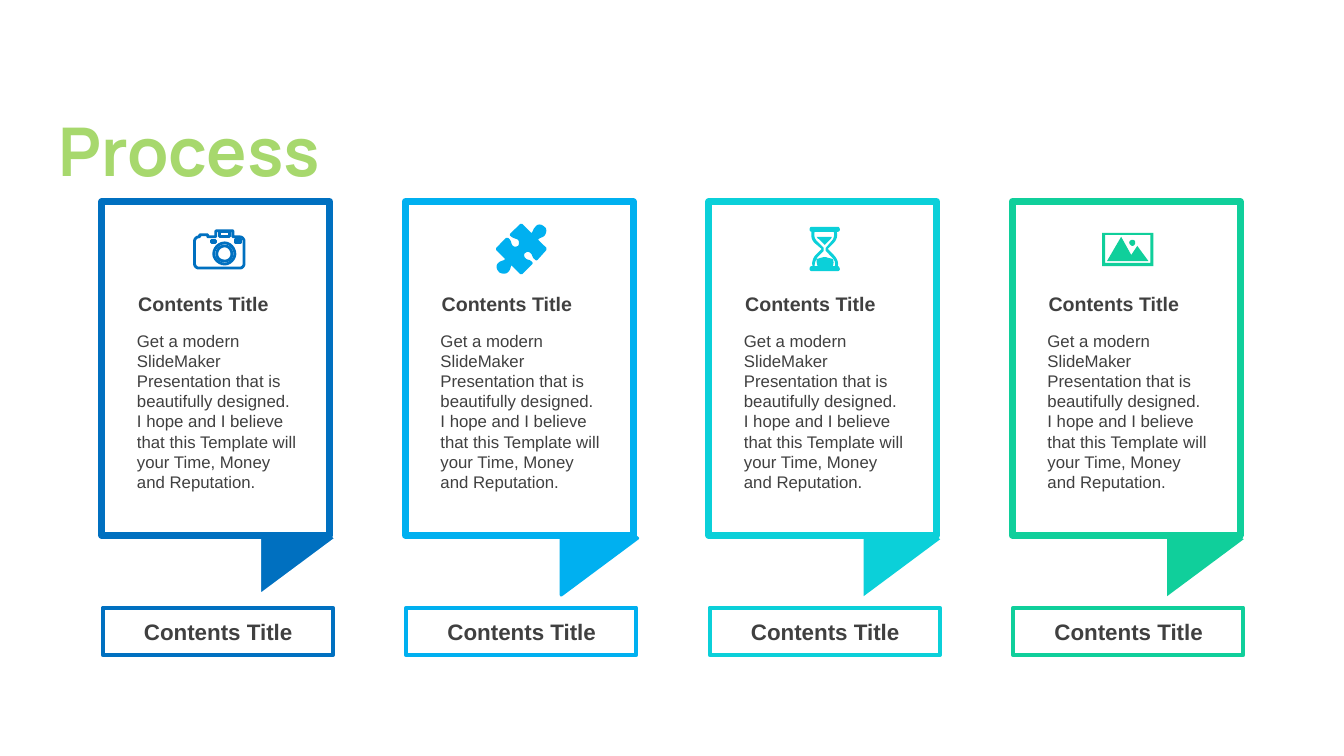
from pptx import Presentation, util as u
from pptx.dml.color import RGBColor
from pptx.enum import shapes, text

PX = 9144  # EMU per px, 100 px to the inch
STEPS = 6  # straight pieces per curve
PITCH = 301
TITLE = "Contents Title"
BODY = ("Get a modern SlideMaker Presentation that is beautifully designed. "
        "I hope and I believe that this Template will your Time, Money and Reputation.")

# Icon outlines, one string per contour: L is a line, C a cubic curve
CAMERA = [
    """L 223 244 C 227 244 230 248 230 252 C 230 256 227 259 223 259
    C 218 259 215 256 215 252 C 215 248 218 244 223 244""",
    """L 223 241 C 217 241 212 246 212 252 C 212 257 217 262 223 262
    C 228 262 233 257 233 252 C 233 246 228 241 223 241""",
    "L 210 239 L 210 241 L 214 241 L 214 239",
    "L 233 238 L 233 241 L 239 241 L 239 238",
    "L 218 230 L 218 235 L 228 235 L 228 230",
    """L 215 229 L 230 229 C 231 229 231 229 231 230 L 231 235 L 238 235
    C 240 235 242 237 242 239 L 242 262 C 242 264 240 266 238 266 L 197 266
    C 195 266 193 264 193 262 L 193 239 C 193 237 195 235 197 235 L 198 235
    L 198 233 L 206 233 L 206 235 L 214 235 L 214 230 C 214 229 215 229 215 229""",
]
PUZZLE = [
    """L 539 226 C 541 227 541 230 539 233 C 537 235 534 234 532 238 L 541 247 L 532 257
    C 528 254 530 252 527 250 C 525 248 522 248 520 250 C 518 251 518 255 520 257
    C 523 260 524 258 527 261 L 517 271 L 507 261 C 504 265 506 266 503 269
    C 501 271 497 270 496 269 C 494 267 493 264 495 262 C 498 259 500 261 503 257
    L 493 247 L 503 237 C 507 240 505 243 508 245 C 510 247 513 246 515 245
    C 516 243 517 240 515 237 C 512 235 511 236 507 233 L 517 223 L 527 233
    C 531 230 529 229 532 226 C 534 223 537 224 539 226""",
]
HOURGLASS = [
    """L 819 255 C 821 256 823 256 826 257 C 827 259 827 262 826 264 L 811 264
    C 810 262 810 259 810 257 C 814 256 816 255 819 255""",
    """L 810 235 L 825 235 C 825 236 824 237 824 237 L 818 243 L 812 237
    C 811 237 811 236 810 235""",
    """L 808 230 C 807 234 808 237 811 240 L 817 246 L 817 249 L 811 255
    C 809 258 808 261 808 264 L 828 264 C 829 261 828 258 825 255 L 819 249
    L 819 246 L 825 239 C 827 237 828 233 827 230""",
    """L 805 225 L 831 225 C 832 225 833 226 833 228 C 833 229 832 230 831 230 L 830 230
    C 831 234 830 238 827 241 L 821 247 L 827 253 C 830 256 832 260 831 264
    C 832 264 833 266 833 267 C 833 268 832 269 831 269 L 805 269
    C 804 269 803 268 803 267 C 803 265 804 264 805 264 L 806 264
    C 805 261 806 256 809 253 L 815 247 L 809 242 C 805 239 804 234 805 230
    C 804 230 803 229 803 228 C 803 226 804 225 805 225""",
]
PHOTO = [
    """L 1123 238 C 1125 238 1126 239 1126 241 C 1126 242 1125 244 1123 244
    C 1122 244 1120 242 1120 241 C 1120 239 1122 238 1123 238""",
    "L 1112 235 L 1122 253 L 1128 244 L 1139 259 L 1098 259",
    "L 1096 233 L 1096 261 L 1141 261 L 1141 233",
    "L 1093 231 L 1144 231 L 1144 264 L 1093 264",
]

# colour, tail offset, tail top, tail line, icon outline, icon fill, icon line
CARDS = [
    ("0070C0", 138, 496, "FFFFFF", CAMERA, None, "0070C0"),
    ("00B0F0", 136, 496, "00B0F0", PUZZLE, "00B0F0", "00B0F0"),
    ("0BD0D9", 135, 497, None, HOURGLASS, "0BD0D9", None),
    ("10CF9B", 135, 497, None, PHOTO, "10CF9B", None),
]


def color(value):
    return RGBColor.from_string(value)


def contour(outline):
    """Turn an outline into a list of points, curves cut into short lines."""
    points = []
    for token in outline.replace("L", ";L").replace("C", ";C").split(";")[1:]:
        kind, *numbers = token.split()
        n = [int(v) * PX for v in numbers]
        if kind == "L":
            points.append((n[0], n[1]))
            continue
        knots = [points[-1], (n[0], n[1]), (n[2], n[3]), (n[4], n[5])]
        for i in range(1, STEPS + 1):
            t = i / STEPS
            w = ((1 - t) ** 3, 3 * t * (1 - t) ** 2, 3 * t * t * (1 - t), t ** 3)
            points.append(tuple(sum(a * p[k] for a, p in zip(w, knots)) for k in (0, 1)))
    return points


class Painter:
    ink = "404040"
    font = "Arial"

    def __init__(self, slide):
        self.s = slide

    def paint(self, sp, fill, line, width):
        sp.shadow.inherit = False
        if fill:
            sp.fill.solid()
            sp.fill.fore_color.rgb = color(fill)
        else:
            sp.fill.background()
        if line:
            sp.line.color.rgb = color(line)
            sp.line.width = u.Pt(width)
        else:
            sp.line.fill.background()

    def shape(self, kind, box, fill, line=None, width=2, rotation=0):
        sp = self.s.shapes.add_shape(kind, *(v * PX for v in box))
        sp.rotation = rotation
        self.paint(sp, fill, line, width)

    def icon(self, outlines, fill, line):
        first, *rest = map(contour, outlines)
        builder = self.s.shapes.build_freeform(*first[0], scale=1.0)
        builder.add_line_segments(first[1:], close=True)
        for points in rest:
            builder.move_to(*points[0])
            builder.add_line_segments(points[1:], close=True)
        self.paint(builder.convert_to_shape(), fill, line, 2)

    def text(self, box, words, size, bold=False, ink=ink, font=font, inset=(12, 5),
             align=text.PP_ALIGN.LEFT, anchor=text.MSO_ANCHOR.TOP):
        tf = self.s.shapes.add_textbox(*(v * PX for v in box)).text_frame
        tf.word_wrap = True
        tf.vertical_anchor = anchor
        tf.margin_left = tf.margin_right = inset[0] * PX
        tf.margin_top = tf.margin_bottom = inset[1] * PX
        p = tf.paragraphs[0]
        p.alignment = align
        r = p.add_run()
        r.text = words
        r.font.size, r.font.bold, r.font.name = u.Pt(size), bold, font
        r.font.color.rgb = color(ink)


def main():
    prs = Presentation()
    prs.slide_width, prs.slide_height = 1333 * PX, 750 * PX
    d = Painter(prs.slides.add_slide(prs.slide_layouts[6]))
    rect, triangle = shapes.MSO_SHAPE.RECTANGLE, shapes.MSO_SHAPE.ISOSCELES_TRIANGLE

    # Heading
    d.text((58, 19, 986, 169), "Process", 48, True, "A7D86D", "Manrope", (0, 0),
           anchor=text.MSO_ANCHOR.BOTTOM)

    for i, (hue, tail_dx, tail_y, tail_line, outlines, fill, line) in enumerate(CARDS):
        x = 101 + i * PITCH
        # Speech card with its tail
        d.shape(triangle, (x + tail_dx, tail_y, 113, 76), hue, tail_line, rotation=90)
        d.shape(rect, (x, 200, 226, 331), "FFFFFF", hue, 5)
        d.icon(outlines, fill, line)
        d.text((x + 24, 285, 179, 34), TITLE, 14, True)
        d.text((x + 25, 323, 179, 192), BODY, 12, inset=(10, 5))
        # Label below
        d.shape(rect, (x + 1, 603, 228, 47), "FFFFFF", hue, 3)
        d.text((x + 17, 608, 197, 37), TITLE, 16, True, align=text.PP_ALIGN.CENTER)

    prs.save("out.pptx")


if __name__ == "__main__":
    main()
